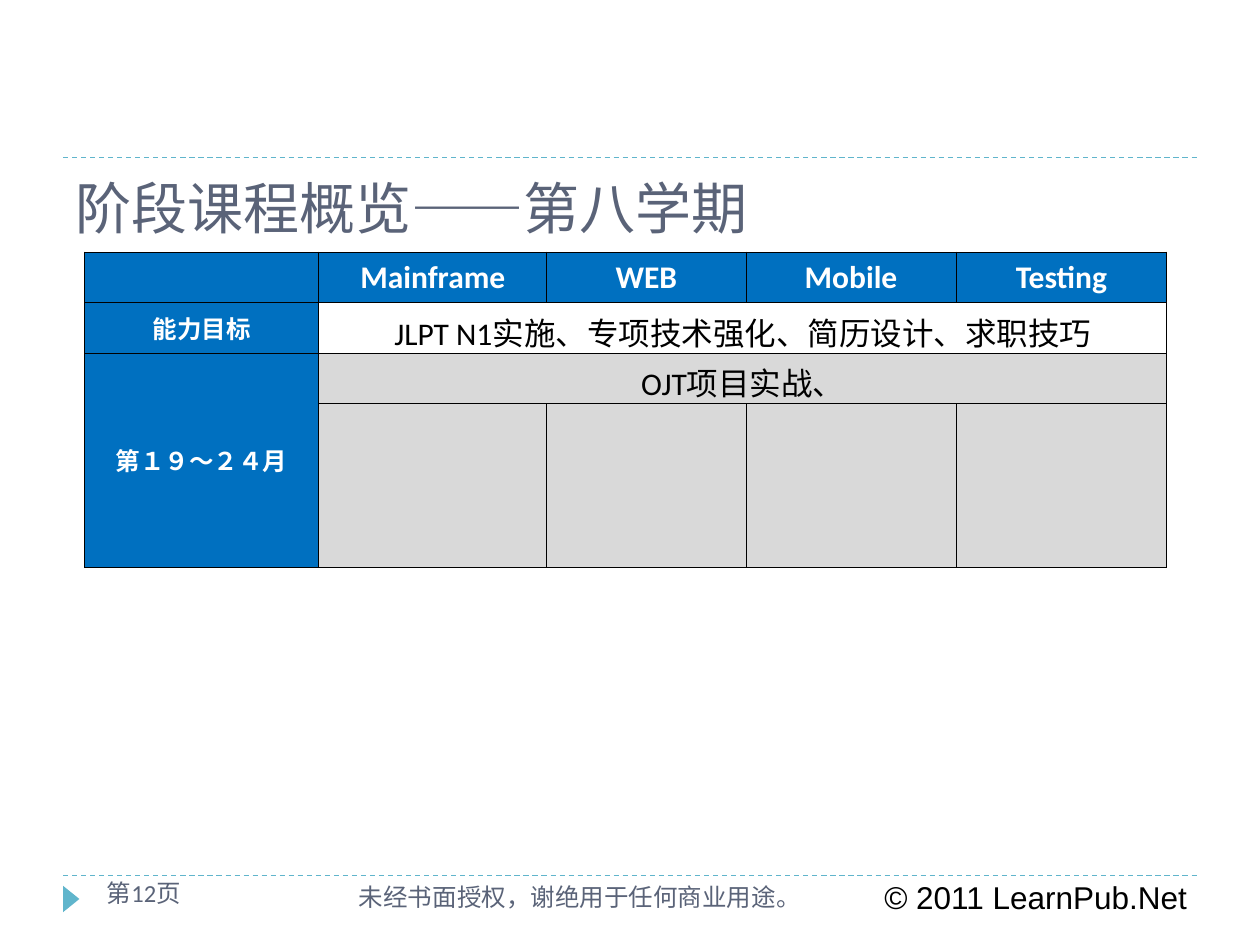
from lxml.etree import SubElement
from pptx import Presentation
from pptx.dml.color import RGBColor
from pptx.enum.dml import MSO_LINE
from pptx.enum.shapes import MSO_CONNECTOR, MSO_SHAPE
from pptx.enum.text import MSO_ANCHOR, PP_ALIGN
from pptx.oxml.ns import qn
from pptx.util import Inches, Pt

WHITE = RGBColor(0xFF, 0xFF, 0xFF)
BLACK = RGBColor(0x00, 0x00, 0x00)
SLATE = RGBColor(0x5A, 0x63, 0x78)
TEAL = RGBColor(0x60, 0xB5, 0xCC)
BLUE = RGBColor(0x00, 0x70, 0xC0)
GRAY = RGBColor(0xD9, 0xD9, 0xD9)

TITLE = "阶段课程概览——第八学期"
ROWS = [
    ["", "Mainframe", "WEB", "Mobile", "Testing"],
    ["能力目标", "JLPT N1实施、专项技术强化、简历设计、求职技巧", "", "", ""],
    ["第１９～２４月", "OJT项目实战、", "", "", ""],
    ["", "", "", "", ""],
]
MERGES = [((1, 1), (1, 4)), ((2, 1), (2, 4)), ((2, 0), (3, 0))]
COLUMN_WIDTHS = [1.86, 1.81, 1.58, 1.67, 1.67]
ROW_HEIGHTS = [0.4, 0.4, 0.4, 1.3]
BODY_FILLS = {1: WHITE, 2: GRAY, 3: GRAY}
MARGIN = 0.5
RULE_TOPS = [6.95, 1.25]
# text, left, top, width, size, font, colour
FOOTERS = [
    ("© 2011 LearnPub.Net", 6.92, 6.92, 2.67, 18, "Arial", BLACK),
    ("未经书面授权，谢绝用于任何商业用途。", 2.75, 6.95, 4, 14, "Calibri", SLATE),
    ("第12页", 0.75, 6.92, 1.66, 14, "Calibri", SLATE),
]


def write(text_frame, text, size, font, color, bold=False, align=PP_ALIGN.LEFT):
    paragraph = text_frame.paragraphs[0]
    paragraph.alignment = align
    paragraph.font.size = Pt(size)
    if text:
        run = paragraph.add_run()
        run.text = text
        run.font.size = Pt(size)
        run.font.name = font
        run.font.bold = bold
        run.font.color.rgb = color


def add_rule(slide, top):
    rule = slide.shapes.add_connector(
        MSO_CONNECTOR.STRAIGHT,
        Inches(MARGIN), Inches(top), Inches(10 - MARGIN), Inches(top))
    rule.line.color.rgb = TEAL
    rule.line.width = Pt(0.75)
    rule.line.dash_style = MSO_LINE.DASH
    SubElement(rule._element.spPr, qn("a:effectLst"))


def add_borders(cell):
    """Outline a cell; borders must precede the fill in the cell properties."""
    properties = cell._tc.get_or_add_tcPr()
    for index, side in enumerate(("a:lnL", "a:lnR", "a:lnT", "a:lnB")):
        line = SubElement(properties, qn(side), w=str(Pt(0.45)))
        fill = SubElement(line, qn("a:solidFill"))
        SubElement(fill, qn("a:srgbClr"), val=str(BLACK))
        properties.insert(index, line)


def add_course_table(slide):
    table = slide.shapes.add_table(
        len(ROWS), len(COLUMN_WIDTHS), Inches(0.67), Inches(2),
        Inches(sum(COLUMN_WIDTHS)), Inches(sum(ROW_HEIGHTS))).table
    for column, width in zip(table.columns, COLUMN_WIDTHS):
        column.width = Inches(width)
    for row, height in zip(table.rows, ROW_HEIGHTS):
        row.height = Inches(height)
    for start, end in MERGES:
        table.cell(*start).merge(table.cell(*end))
    for row_index, texts in enumerate(ROWS):
        for column_index, text in enumerate(texts):
            cell = table.cell(row_index, column_index)
            heading = row_index == 0 or column_index == 0
            cell.fill.solid()
            cell.fill.fore_color.rgb = BLUE if heading else BODY_FILLS[row_index]
            cell.vertical_anchor = MSO_ANCHOR.MIDDLE
            size = 14 if column_index == 0 else 18
            write(cell.text_frame, text, size, "Calibri",
                  WHITE if heading else BLACK, heading, PP_ALIGN.CENTER)
            add_borders(cell)


def main():
    presentation = Presentation()
    presentation.slide_width, presentation.slide_height = Inches(10), Inches(7.5)
    slide = presentation.slides.add_slide(presentation.slide_layouts[5])

    for top in RULE_TOPS:
        add_rule(slide, top)

    marker = slide.shapes.add_shape(
        MSO_SHAPE.ISOSCELES_TRIANGLE,
        Inches(0.46), Inches(7.07), Inches(0.21), Inches(0.13))
    marker.rotation = 90
    marker.shadow.inherit = False
    marker.fill.solid()
    marker.fill.fore_color.rgb = TEAL
    marker.line.fill.background()

    for text, left, top, width, size, font, color in FOOTERS:
        box = slide.shapes.add_textbox(
            Inches(left), Inches(top), Inches(width), Inches(0.4))
        box.text_frame.word_wrap = True
        write(box.text_frame, text, size, font, color)

    add_course_table(slide)

    title = slide.shapes.title
    title.left, title.top = Inches(MARGIN), Inches(1.33)
    title.width, title.height = Inches(10 - 2 * MARGIN), Inches(0.58)
    title.text_frame.vertical_anchor = MSO_ANCHOR.TOP
    write(title.text_frame, TITLE, 32, "Roboto Slab", SLATE)

    presentation.save("out.pptx")


if __name__ == "__main__":
    main()
